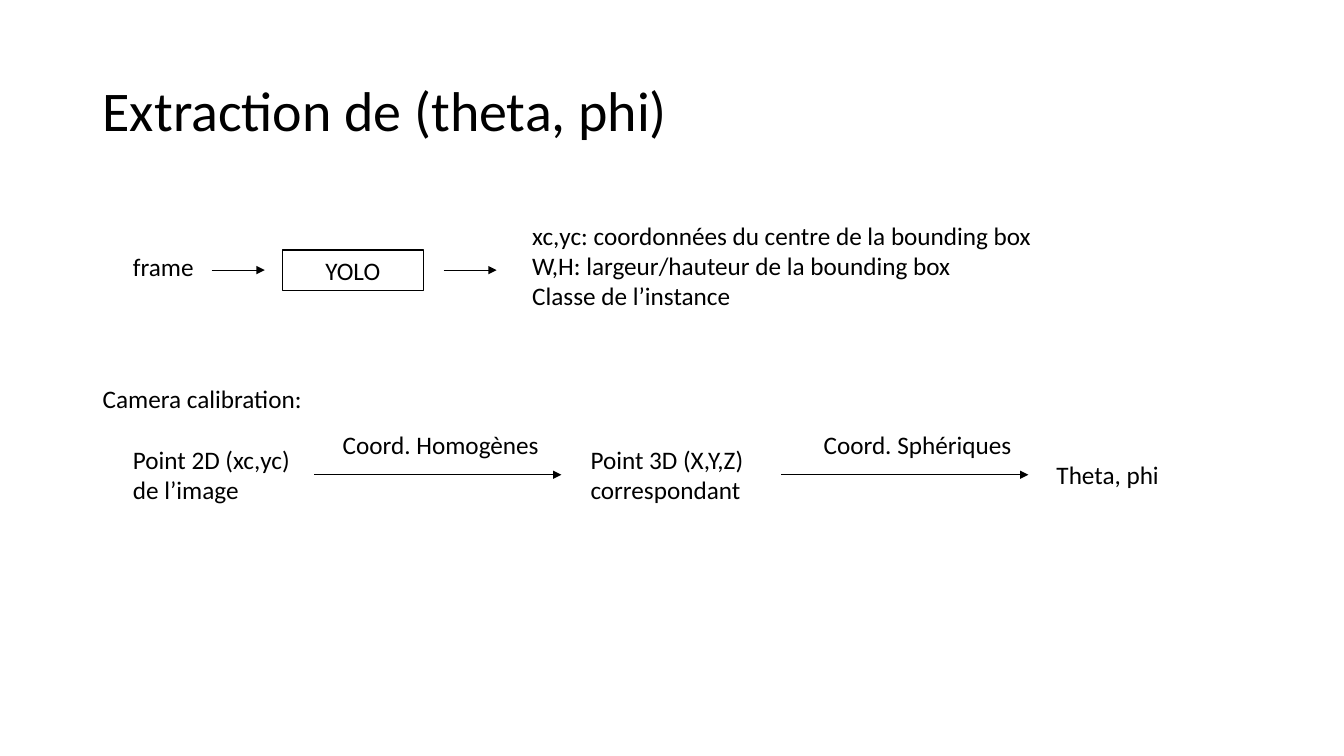
from dataclasses import dataclass

from lxml import etree
from pptx import Presentation
from pptx.dml.color import RGBColor
from pptx.enum.shapes import MSO_CONNECTOR, MSO_SHAPE
from pptx.enum.text import MSO_ANCHOR, PP_ALIGN
from pptx.oxml.ns import qn
from pptx.util import Inches, Pt

FONT, BLACK, WHITE = "Calibri", "000000", "FFFFFF"

prs = Presentation()
prs.slide_width, prs.slide_height = Inches(13.33), Inches(7.5)
slide = prs.slides.add_slide(prs.slide_layouts[6])

# Grid: 100 columns by 100 rows
COL, ROW = prs.slide_width / 100, prs.slide_height / 100
MARGIN, INDENT = 6.9, 9.15
DETECTION, CALIBRATION = 35.73, 62.8  # centre rows of the two flows
LINE_ROWS, PADDING_ROWS = 4.06, 1.31


@dataclass
class Label:
    lines: list[str]
    left: float
    middle: float
    width: float
    rows: int = 1  # text lines the label takes up
    wrap: bool = True


@dataclass
class Arrow:
    start: float
    end: float
    row: float


def color(code: str) -> RGBColor:
    return RGBColor.from_string(code)


def frame_at(left: float, middle: float, width: float, height: float) -> list[int]:
    """Left, top, width and height of a box centred on a row."""
    return [round(left * COL), round((middle - height / 2) * ROW),
            round(width * COL), round(height * ROW)]


def write(shape, lines: list[str], size: int = 18, align=PP_ALIGN.LEFT,
          anchor=MSO_ANCHOR.TOP, spacing: float = 1.0, wrap: bool = True) -> None:
    text = shape.text_frame
    text.word_wrap, text.vertical_anchor = wrap, anchor
    text.text = "\n".join(lines)
    for paragraph in text.paragraphs:
        paragraph.alignment, paragraph.line_spacing = align, spacing
        font = paragraph.runs[0].font
        font.name, font.size = FONT, Pt(size)
        font.color.rgb = color(BLACK)


def draw_label(label: Label) -> None:
    height = PADDING_ROWS + LINE_ROWS * label.rows
    box = slide.shapes.add_textbox(
        *frame_at(label.left, label.middle, label.width, height))
    write(box, label.lines, wrap=label.wrap)


def draw_arrow(arrow: Arrow) -> None:
    y = round(arrow.row * ROW)
    line = slide.shapes.add_connector(
        MSO_CONNECTOR.STRAIGHT, round(arrow.start * COL), y, round(arrow.end * COL), y)
    line.line.width = Pt(0.5)
    line.line.color.rgb = color(BLACK)
    etree.SubElement(line.line._get_or_add_ln(), qn("a:tailEnd"), type="triangle")
    etree.SubElement(line._element.spPr, qn("a:effectLst"))


# Title
title = slide.shapes.add_textbox(*frame_at(MARGIN, 15, 86.27, 19.33))
write(title, ["Extraction de (theta, phi)"], 40, anchor=MSO_ANCHOR.MIDDLE, spacing=0.9)

# Detector box
detector = slide.shapes.add_shape(
    MSO_SHAPE.RECTANGLE, *frame_at(21, DETECTION, 10.5, 5.33))
detector.shadow.inherit = False
detector.fill.solid()
detector.fill.fore_color.rgb = color(WHITE)
detector.line.color.rgb = color(BLACK)
detector.line.width = Pt(1)
write(detector, ["YOLO"], align=PP_ALIGN.CENTER, anchor=MSO_ANCHOR.MIDDLE)

# Labels of both flows
LABELS = [
    Label(["frame"], INDENT, DETECTION - 0.5, 10.5),
    Label(["xc,yc: coordonnées du centre de la bounding box",
           "W,H: largeur/hauteur de la bounding box",
           "Classe de l’instance"], 38.86, DETECTION - 0.5, 40.14, rows=3),
    Label(["Camera calibration:"], MARGIN, 52.67, 16.5, wrap=False),
    Label(["Point 2D (xc,yc) de l’image"], INDENT, CALIBRATION, 14.18, rows=2),
    Label(["Coord. Homogènes"], 24.76, CALIBRATION - 4, 19.2),
    Label(["Point 3D (X,Y,Z) correspondant"], 43.2, CALIBRATION, 13.65, rows=2),
    Label(["Coord. Sphériques"], 60.54, CALIBRATION - 4, 15.98),
    Label(["Theta, phi"], 77.87, CALIBRATION, 9.68),
]
for label in LABELS:
    draw_label(label)

# Arrows between the steps
ARROWS = [
    Arrow(15.75, 19.7, DETECTION),
    Arrow(33, 36.95, DETECTION),
    Arrow(23.4, 41.78, CALIBRATION),
    Arrow(58.14, 76.52, CALIBRATION),
]
for arrow in ARROWS:
    draw_arrow(arrow)

prs.save("out.pptx")
